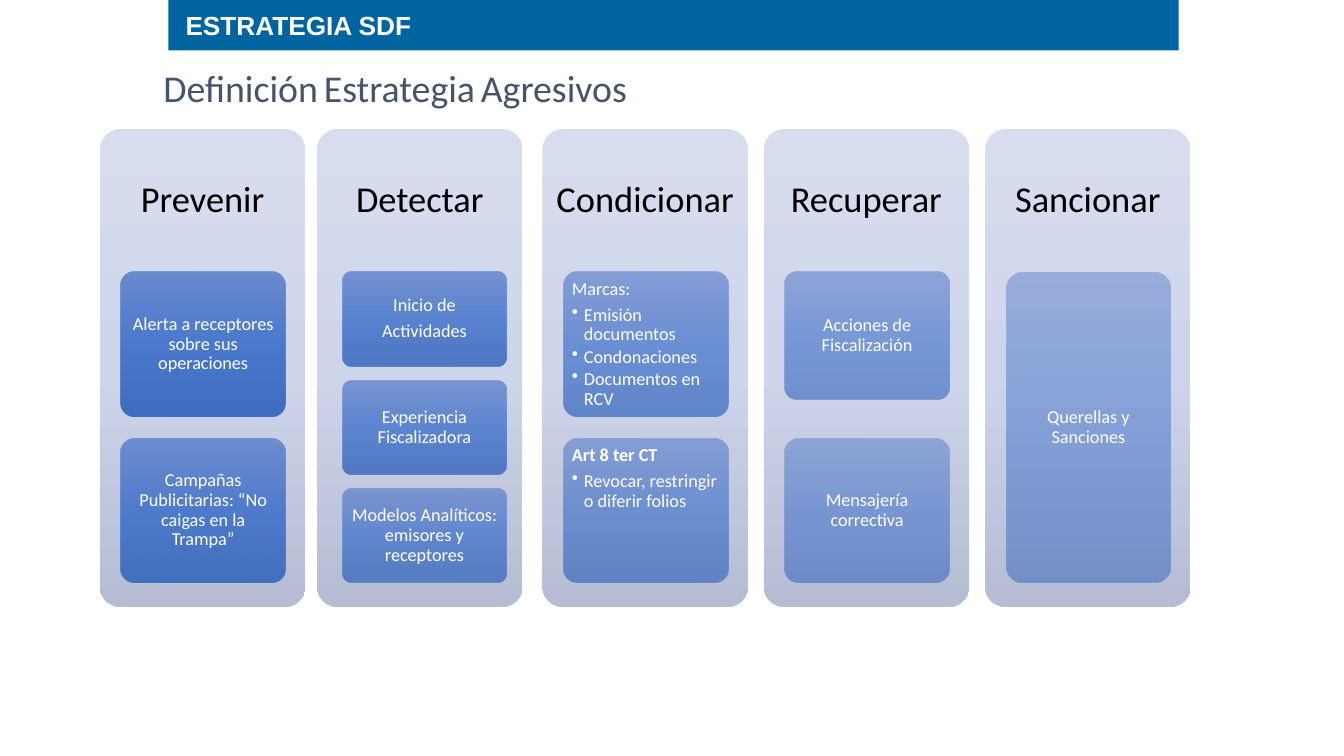
import lxml.etree
import pptx
import pptx.dml.color
import pptx.enum.shapes
import pptx.enum.text
import pptx.oxml.ns
import pptx.util

Inches, Pt = pptx.util.Inches, pptx.util.Pt
ALIGN, ANCHOR = pptx.enum.text.PP_ALIGN, pptx.enum.text.MSO_ANCHOR
SHAPES = pptx.enum.shapes.MSO_SHAPE
qn = pptx.oxml.ns.qn

# Grid: five card columns at an equal pitch, one body band shared by all
CARD_LEFT, PITCH, CARD_WIDTH = 1.2, 2.195, 1.63
PILLAR_TOP, PILLAR_WIDTH, PILLAR_HEIGHT = 1.28, 2.04, 4.74
PILLAR_MARGIN = 0.21
BODY_TOP, BODY_HEIGHT = 2.7, 3.08
GAP_SHARE = 0.153  # gap between cards as a share of card height

PILLAR_STOPS = ("D8DDEE", "CED5EB", "B5BCD3")
CARD_STOPS = ("6183CB", "3E70CA", "3062BB")
FIRST_ALPHA, LAST_ALPHA = 90, 50

# Each pillar: heading, cards (a card is its lines; "• " marks a bullet)
PILLARS = [
    ("Prevenir", [["Alerta a receptores sobre sus operaciones"],
                  ["Campañas Publicitarias: “No caigas en la Trampa”"]]),
    ("Detectar", [["Inicio de", "Actividades"],
                  ["Experiencia Fiscalizadora"],
                  ["Modelos Analíticos: emisores y receptores"]]),
    ("Condicionar", [["Marcas:", "• Emisión documentos", "• Condonaciones",
                      "• Documentos en RCV"],
                     ["Art 8 ter CT", "• Revocar, restringir o diferir folios"]]),
    ("Recuperar", [["Acciones de Fiscalización"], ["Mensajería correctiva"]]),
    ("Sancionar", [["Querellas y Sanciones"]]),
]
PILLAR_SHIFT = {"Detectar": -0.04}
SHORT_CARDS = {"Acciones de Fiscalización": 1.26}
BOLD_LINES = {"Art 8 ter CT"}


def color(hex_text):
    return pptx.dml.color.RGBColor.from_string(hex_text)


def box(left, top, width, height):
    return [Inches(value) for value in (left, top, width, height)]


def style(font, size, hex_text, name="Calibri", bold=False):
    font.name, font.size, font.bold = name, Pt(size), bold
    font.color.rgb = color(hex_text)


def set_frame(frame, anchor, side, end):
    frame.word_wrap = True
    frame.vertical_anchor = anchor
    frame.margin_left = frame.margin_right = Inches(side)
    frame.margin_top = frame.margin_bottom = Inches(end)


def add_block(slide, kind, place):
    block = slide.shapes.add_shape(kind, *box(*place))
    block.shadow.inherit = False
    block.line.fill.background()
    return block


def add_gradient_block(slide, place, stops, alpha=100):
    block = add_block(slide, SHAPES.ROUNDED_RECTANGLE, place)
    block.adjustments[0] = 0.1
    block.fill.gradient()
    block.fill.gradient_angle = 270  # top to bottom
    stop_list = block._element.spPr.find(".//" + qn("a:gsLst"))
    stop_list.clear()
    for index, hex_text in enumerate(stops):
        stop = lxml.etree.SubElement(stop_list, qn("a:gs"), pos=str(index * 50000))
        tint = lxml.etree.SubElement(stop, qn("a:srgbClr"), val=hex_text)
        if alpha < 100:
            lxml.etree.SubElement(tint, qn("a:alpha"), val=str(round(alpha) * 1000))
    return block


def add_bullet(paragraph):
    properties = paragraph._p.get_or_add_pPr()
    indent = Inches(0.12)
    properties.set("marL", str(indent))
    properties.set("indent", str(-indent))
    lxml.etree.SubElement(properties, qn("a:buChar"), char="•")


def write_lines(frame, lines, size, hex_text, align):
    for index, line in enumerate(lines):
        paragraph = frame.paragraphs[0] if index == 0 else frame.add_paragraph()
        bulleted = line.startswith("• ")
        paragraph.text = line.removeprefix("• ")
        if bulleted:
            add_bullet(paragraph)
        paragraph.alignment = align
        paragraph.line_spacing = 0.9
        paragraph.space_after = Pt(size * (0.15 if bulleted else 0.35))
        style(paragraph.font, size, hex_text, bold=line in BOLD_LINES)


def add_banner(slide):
    banner = add_block(slide, SHAPES.RECTANGLE, (1.67, 0, 10.02, 0.5))
    banner.fill.solid()
    banner.fill.fore_color.rgb = color("0064A0")
    set_frame(banner.text_frame, ANCHOR.MIDDLE, 0.17, 0.05)
    heading = banner.text_frame.paragraphs[0]
    heading.text = "ESTRATEGIA SDF"
    heading.alignment = ALIGN.LEFT
    style(heading.font, 18.7, "FFFFFF", "Arial", True)


def set_title(slide):
    title = slide.shapes.title
    title.left, title.top, title.width, title.height = box(1.52, 0.59, 7.15, 0.56)
    set_frame(title.text_frame, ANCHOR.TOP, 0.1, 0.05)
    title.text_frame.auto_size = pptx.enum.text.MSO_AUTO_SIZE.NONE
    paragraph = title.text_frame.paragraphs[0]
    paragraph.alignment = ALIGN.LEFT
    for word in ("Definición", " ", "Estrategia", " ", "Agresivos"):
        run = paragraph.add_run()
        run.text = word
        style(run.font, *((18, "000000") if word == " " else (27, "44546A")))


def add_pillar(slide, left, heading):
    add_gradient_block(slide, (left, PILLAR_TOP, PILLAR_WIDTH, PILLAR_HEIGHT),
                       PILLAR_STOPS)
    label = slide.shapes.add_textbox(
        *box(left, PILLAR_TOP, PILLAR_WIDTH, BODY_TOP - PILLAR_TOP))
    set_frame(label.text_frame, ANCHOR.MIDDLE, 0.11, 0.11)
    write_lines(label.text_frame, [heading], 26, "000000", ALIGN.CENTER)


def add_card(slide, place, lines, alpha):
    card = add_gradient_block(slide, place, CARD_STOPS, alpha)
    listed = any(line.startswith("• ") for line in lines)
    set_frame(card.text_frame, ANCHOR.TOP if listed else ANCHOR.MIDDLE, 0.04, 0.03)
    write_lines(card.text_frame, lines, 13, "FFFFFF",
                ALIGN.LEFT if listed else ALIGN.CENTER)


def main():
    deck = pptx.Presentation()
    deck.slide_width, deck.slide_height = Inches(13.33), Inches(7.5)
    slide = deck.slides.add_slide(deck.slide_layouts[5])

    # Banner and title
    add_banner(slide)
    set_title(slide)

    # Pillars with their cards, each card fainter than the one before
    card_total = sum(len(cards) for _, cards in PILLARS)
    fade = (FIRST_ALPHA - LAST_ALPHA) / (card_total - 1)
    alpha = FIRST_ALPHA
    for column, (heading, cards) in enumerate(PILLARS):
        left = CARD_LEFT + column * PITCH
        add_pillar(slide, left - PILLAR_MARGIN + PILLAR_SHIFT.get(heading, 0), heading)
        count = len(cards)
        height = BODY_HEIGHT / (count + GAP_SHARE * (count - 1))
        for row, lines in enumerate(cards):
            top = BODY_TOP + row * height * (1 + GAP_SHARE)
            card_height = SHORT_CARDS.get(lines[0], height)
            add_card(slide, (left, top, CARD_WIDTH, card_height), lines, alpha)
            alpha -= fade

    deck.save("out.pptx")


if __name__ == "__main__":
    main()
